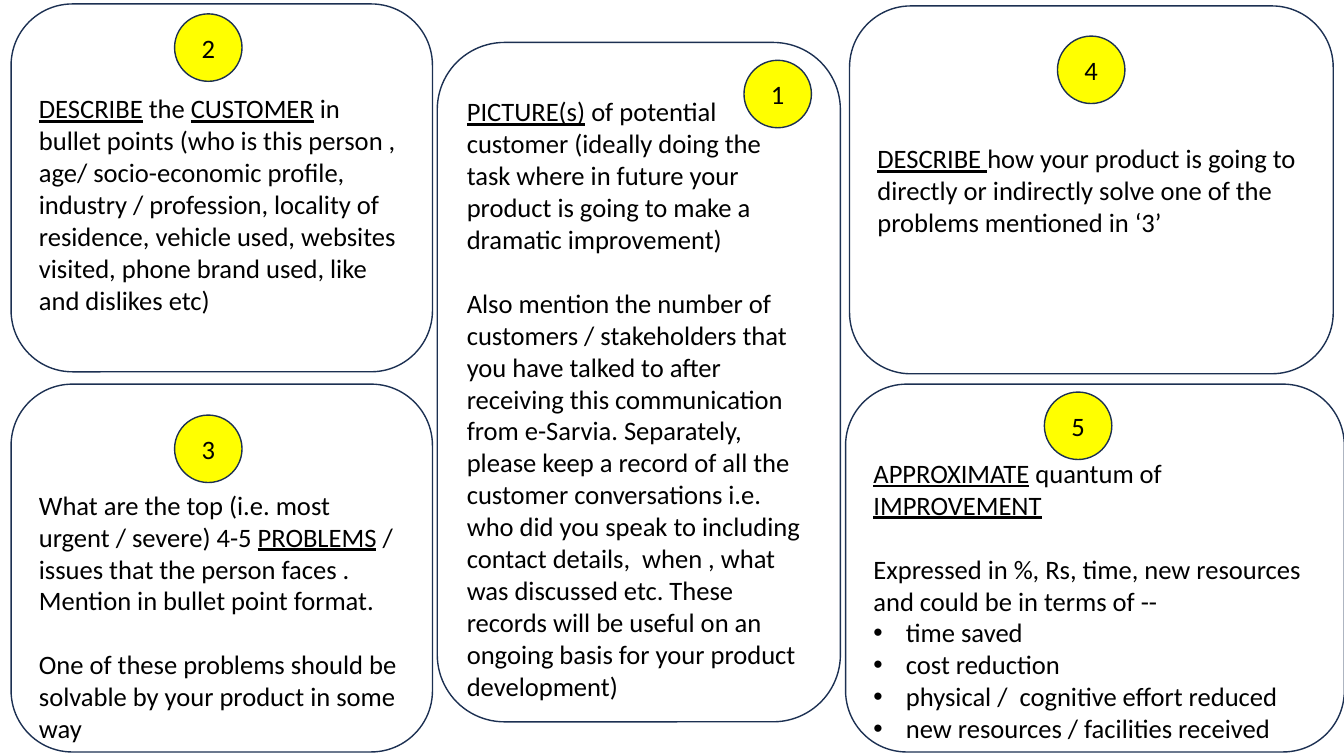
from pptx import Presentation
from pptx.dml.color import RGBColor
from pptx.enum.shapes import MSO_SHAPE
from pptx.enum.text import MSO_ANCHOR, PP_ALIGN
from pptx.oxml import parse_xml
from pptx.oxml.ns import nsdecls
from pptx.util import Cm, Pt

SLIDE_SIZE = (33.87, 19.05)
BADGE_SIZE = 1.7
LINE_HEIGHT = 0.81
INK, OUTLINE, YELLOW = "000000", "1C3052", "FFFF00"
PLAIN, GAP, BULLET = "plain", "gap", "bullet"

PANELS = [
    {"number": "1", "box": (11.02, 1.07, 10.16, 17.12), "badge": (18.75, 1.52), "lines_above": 1,
     "text": [
         ("_PICTURE(s)_ of potential customer (ideally doing the task where in future your "
          "product is going to make a dramatic improvement)", PLAIN),
         ("Also mention the number of customers / stakeholders that you have talked to after "
          "receiving this communication from e-Sarvia. Separately, please keep a record of all "
          "the customer conversations i.e. who did you speak to including contact details,  "
          "when , what was discussed etc. These records will be useful on an ongoing basis for "
          "your product development)", GAP)]},
    {"number": "5", "box": (21.31, 9.68, 12.57, 9.27), "badge": (26.32, 9.88), "lines_above": 2,
     "text": [
         ("_APPROXIMATE_ quantum of _IMPROVEMENT_", PLAIN),
         ("Expressed in %, Rs, time, new resources", GAP),
         ("and could be in terms of --", PLAIN),
         ("time saved", BULLET),
         ("cost reduction", BULLET),
         ("physical /  cognitive effort reduced", BULLET),
         ("new resources / facilities received", BULLET)]},
    {"number": "3", "box": (0.28, 9.68, 10.62, 9.27), "badge": (4.4, 10.46), "lines_above": 3,
     "text": [
         ("What are the top (i.e. most urgent / severe) 4-5 _PROBLEMS_ / issues that the person "
          "faces . Mention in bullet point format.", PLAIN),
         ("One of these problems should be solvable by your product in some way", GAP)]},
    {"number": "2", "box": (0.28, 0.1, 10.62, 9.27), "badge": (4.4, 0.35), "lines_above": 1,
     "text": [
         ("_DESCRIBE_ the _CUSTOMER_ in bullet points (who is this person , age/ socio-economic "
          "profile, industry / profession, locality of residence, vehicle used, websites "
          "visited, phone brand used, like and dislikes etc)", PLAIN)]},
    {"number": "4", "box": (21.41, 0.15, 12.19, 9.27), "badge": (26.65, 0.91), "lines_above": 0,
     "text": [
         ("_DESCRIBE _how your product is going to directly or indirectly solve one of the "
          "problems mentioned in ‘3’", PLAIN)]},
]


def color(value):
    return RGBColor.from_string(value)


def add_outlined(slide, preset, box):
    shape = slide.shapes.add_shape(preset, *map(Cm, box))
    shape.shadow.inherit = False
    shape.line.color.rgb = color(OUTLINE)
    shape.line.width = Pt(1)
    shape.text_frame.word_wrap = True
    shape.text_frame.vertical_anchor = MSO_ANCHOR.MIDDLE
    return shape


def style(paragraph, alignment):
    paragraph.alignment = alignment
    paragraph.font.name = "Calibri"
    paragraph.font.size = Pt(19)
    paragraph.font.color.rgb = color(INK)


def add_bullet(paragraph):
    properties = paragraph._p.get_or_add_pPr()
    properties.set("marL", str(Cm(0.82)))
    properties.set("indent", str(Cm(-0.82)))
    bullet_font = parse_xml(f'<a:buFont {nsdecls("a")} typeface="Arial"/>')
    bullet = parse_xml(f'<a:buChar {nsdecls("a")} char="•"/>')
    properties.insert_element_before(bullet_font, "a:defRPr")
    properties.insert_element_before(bullet, "a:defRPr")


def add_panel(slide, panel):
    shape = add_outlined(slide, MSO_SHAPE.ROUNDED_RECTANGLE, panel["box"])
    shape.fill.background()
    frame = shape.text_frame
    frame.margin_top = Cm(0.13 + panel["lines_above"] * LINE_HEIGHT)
    frame.margin_right = Cm(0.35)
    for index, (text, kind) in enumerate(panel["text"]):
        paragraph = frame.add_paragraph() if index else frame.paragraphs[0]
        style(paragraph, PP_ALIGN.LEFT)
        if kind == GAP:
            paragraph.space_before = Cm(LINE_HEIGHT)
        if kind == BULLET:
            add_bullet(paragraph)
        for position, part in enumerate(text.split("_")):
            if part:
                run = paragraph.add_run()
                run.text = part
                if position % 2:
                    run.font.underline = True


def add_badge(slide, panel):
    badge = add_outlined(slide, MSO_SHAPE.OVAL, (*panel["badge"], BADGE_SIZE, BADGE_SIZE))
    badge.fill.solid()
    badge.fill.fore_color.rgb = color(YELLOW)
    badge.text_frame.text = panel["number"]
    style(badge.text_frame.paragraphs[0], PP_ALIGN.CENTER)


def main():
    presentation = Presentation()
    presentation.slide_width, presentation.slide_height = map(Cm, SLIDE_SIZE)
    slide = presentation.slides.add_slide(presentation.slide_layouts[6])
    for panel in PANELS:
        add_panel(slide, panel)
    for panel in PANELS:
        add_badge(slide, panel)
    presentation.save("out.pptx")


if __name__ == "__main__":
    main()
